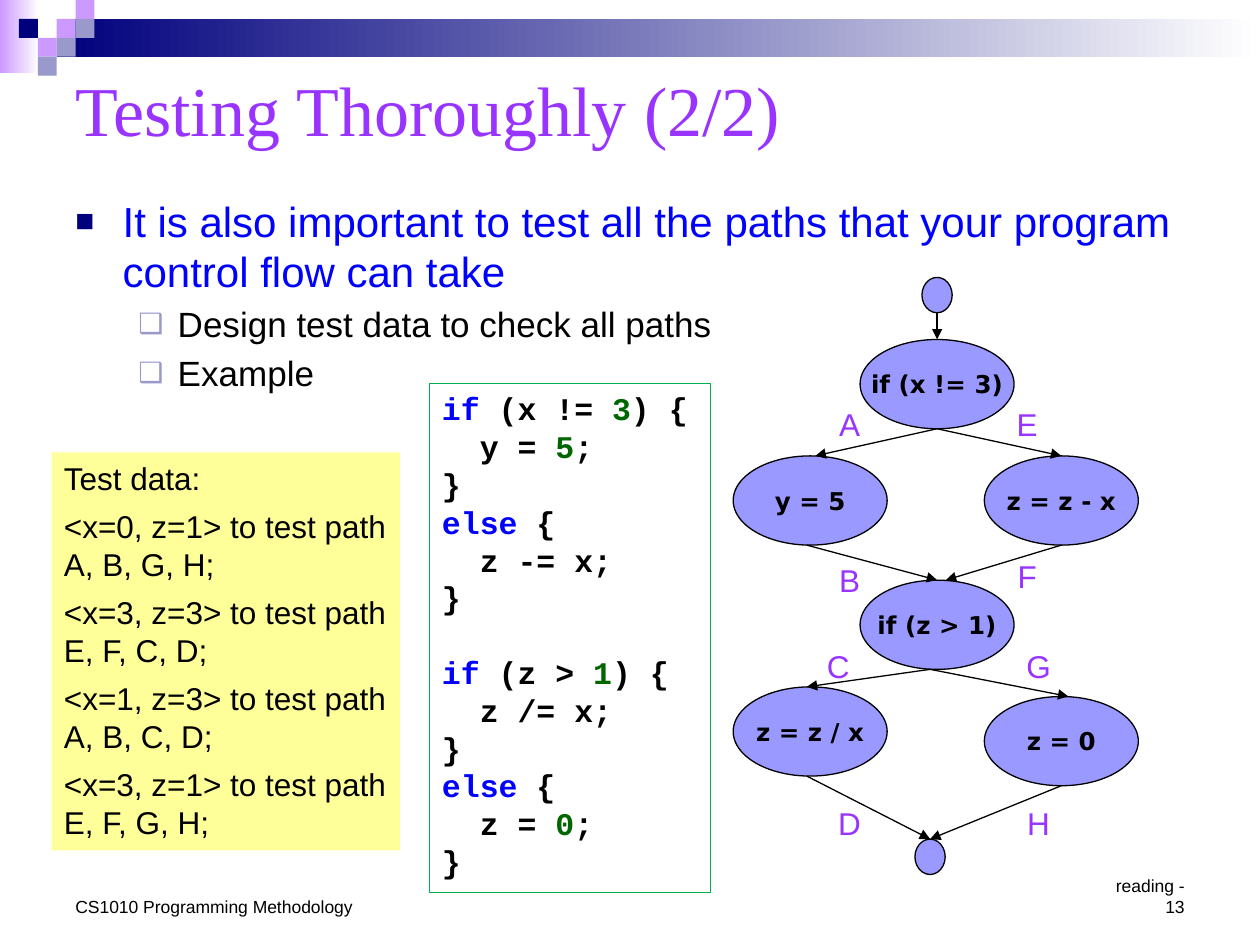
from dataclasses import dataclass
from lxml import etree
from pptx import Presentation
from pptx import util as u
from pptx.dml.color import RGBColor
from pptx.enum import shapes, text
from pptx.oxml import ns

Pt = u.Pt


@dataclass(frozen=True)
class Theme:
    navy: str = "00007D"
    lilac: str = "CC99FF"
    slate: str = "9999CC"
    violet: str = "9933FF"
    node: str = "9999FF"
    blue: str = "0000FF"
    green: str = "006600"
    frame: str = "00B050"
    note: str = "FFFF99"
    black: str = "000000"
    white: str = "FFFFFF"
    title_font: str = "Times New Roman"
    body_font: str = "Arial"
    code_font: str = "Courier New"
    node_font: str = "DejaVu Sans"
    title_size: int = 40
    lead_size: int = 24
    point_size: int = 20
    text_size: int = 18
    node_size: int = 14
    footer_size: int = 10


theme = Theme()


def rgb(value):
    return RGBColor.from_string(value)


def add_span(para, words, font, size, color=theme.black, bold=False):
    span = para.add_run()
    span.text = words
    span.font.name = font
    span.font.size = Pt(size)
    span.font.bold = bold
    span.font.color.rgb = rgb(color)


def next_para(frame, index):
    para = frame.paragraphs[0] if index == 0 else frame.add_paragraph()
    para.alignment = text.PP_ALIGN.LEFT
    return para


def add_shape(page, kind, box, fill, line=None):
    shape = page.shapes.add_shape(kind, *map(Pt, box))
    shape.shadow.inherit = False
    if isinstance(fill, tuple):
        shape.fill.gradient()
        shape.fill.gradient_angle = 0
        for stop, color, position in zip(shape.fill.gradient_stops, fill, (0, 1)):
            stop.color.rgb = rgb(color)
            stop.position = position
    else:
        shape.fill.solid()
        shape.fill.fore_color.rgb = rgb(fill)
    if line:
        shape.line.color.rgb = rgb(line)
        shape.line.width = Pt(0.75)
    else:
        shape.line.fill.background()
    shape.text_frame.word_wrap = True
    shape.text_frame.vertical_anchor = text.MSO_ANCHOR.TOP
    return shape


def add_text(page, box, words, size, color, align, anchor=text.MSO_ANCHOR.TOP, inset=None):
    frame = page.shapes.add_textbox(*map(Pt, box)).text_frame
    frame.word_wrap = True
    frame.vertical_anchor = anchor
    if inset is not None:
        frame.margin_left = frame.margin_right = Pt(inset)
        frame.margin_top = frame.margin_bottom = Pt(inset)
    frame.paragraphs[0].alignment = align
    add_span(frame.paragraphs[0], words, theme.body_font, size, color)


def add_banner(page, box):
    left, top, width, height = box
    rect = shapes.MSO_SHAPE.RECTANGLE
    add_shape(page, rect, (left, top, 22.3, height), (theme.lilac, theme.white))
    add_shape(page, rect, (left + 32.4, top + 10.8, width - 32.4, 21.6), (theme.navy, theme.white))
    tile = 10.8
    tiles = [(3, 1, theme.lilac), (4, 0, theme.lilac), (4, 1, theme.slate),
             (2, 2, theme.lilac), (1, 1, theme.navy), (3, 2, theme.slate), (2, 3, theme.slate)]
    for column, row, color in tiles:
        add_shape(page, rect, (left + column * tile, top + row * tile, tile, tile), color)


def add_title(page, box, words):
    title = page.shapes.title
    title.left, title.top, title.width, title.height = map(Pt, box)
    title.text_frame.vertical_anchor = text.MSO_ANCHOR.MIDDLE
    para = next_para(title.text_frame, 0)
    add_span(para, words, theme.title_font, theme.title_size, theme.violet)


def set_bullet(para, mark, color, percent, margin, hang):
    props = para._p.get_or_add_pPr()
    props.set("marL", str(Pt(margin)))
    props.set("indent", str(-Pt(hang)))
    holder = etree.SubElement(props, ns.qn("a:buClr"))
    etree.SubElement(holder, ns.qn("a:srgbClr")).set("val", color)
    etree.SubElement(props, ns.qn("a:buSzPct")).set("val", str(percent * 1000))
    etree.SubElement(props, ns.qn("a:buFont")).set("typeface", theme.body_font)
    etree.SubElement(props, ns.qn("a:buChar")).set("char", mark)


def add_points(page, box, points):
    frame = page.shapes.add_textbox(*map(Pt, box)).text_frame
    frame.word_wrap = True
    styles = [(theme.lead_size, theme.blue, ("■", theme.navy, 75, 27, 27)),
              (theme.point_size, theme.black, ("❑", theme.slate, 80, 58.5, 22.5))]
    for index, (level, words) in enumerate(points):
        size, color, bullet = styles[level]
        para = next_para(frame, index)
        para.level = level
        para.space_before = Pt(size * 0.2)
        set_bullet(para, *bullet)
        add_span(para, words, theme.body_font, size, color)


def add_code(page, box, blocks):
    frame = add_shape(page, shapes.MSO_SHAPE.RECTANGLE, box, theme.white, theme.frame).text_frame
    colors = {"k": theme.blue, "n": theme.green, "p": theme.black}
    lines = [(block, row, line) for block, rows in enumerate(blocks) for row, line in enumerate(rows)]
    for index, (block, row, line) in enumerate(lines):
        para = next_para(frame, index)
        if block and row == 0:
            para.space_before = Pt(21)
        for kind, words in line:
            add_span(para, words, theme.code_font, theme.text_size, colors[kind], True)


def add_test_data(page, box, lines):
    frame = add_shape(page, shapes.MSO_SHAPE.RECTANGLE, box, theme.note).text_frame
    for index, words in enumerate(lines):
        para = next_para(frame, index)
        para.space_after = Pt(6)
        add_span(para, words, theme.body_font, theme.text_size)


def add_arrow(page, start, end):
    arrow = page.shapes.add_connector(shapes.MSO_CONNECTOR.STRAIGHT, *map(Pt, start + end))
    arrow.line.color.rgb = rgb(theme.black)
    arrow.line.width = Pt(0.75)
    etree.SubElement(arrow.line._get_or_add_ln(), ns.qn("a:tailEnd")).set("type", "triangle")
    etree.SubElement(arrow._element.spPr, ns.qn("a:effectLst"))


def add_flow(page, box, nodes, edges, labels):
    left, top = box[:2]
    sizes = {True: (88, 51), False: (17.3, 20.2)}
    for center, y, words in nodes.values():
        width, height = sizes[bool(words)]
        oval = add_shape(page, shapes.MSO_SHAPE.OVAL, (left + center - width / 2, top + y, width, height),
                         theme.node, theme.black)
        if words:
            frame = oval.text_frame
            frame.word_wrap = False
            frame.vertical_anchor = text.MSO_ANCHOR.MIDDLE
            frame.paragraphs[0].alignment = text.PP_ALIGN.CENTER
            add_span(frame.paragraphs[0], words, theme.node_font, theme.node_size, bold=True)
    for source, target, shift_out, shift_in in edges:
        x1, y1, words = nodes[source]
        x2, y2, _ = nodes[target]
        drop = sizes[bool(words)][1]
        add_arrow(page, (left + x1 + shift_out, top + y1 + drop), (left + x2 + shift_in, top + y2))
    for letter, x, y in labels:
        add_text(page, (left + x, top + y, 36, 23), letter, theme.text_size, theme.violet,
                 text.PP_ALIGN.CENTER, inset=0.72)


deck = Presentation()
deck.slide_width, deck.slide_height = Pt(720), Pt(540)
page = deck.slides.add_slide(deck.slide_layouts[5])

add_banner(page, (0, 0, 720, 41.8))
add_title(page, (36, 30.2, 648, 63.4), "Testing Thoroughly (2/2)")
add_points(page, (36, 108, 648, 354), [
    (0, "It is also important to test all the paths that your program control flow can take"),
    (1, "Design test data to check all paths"),
    (1, "Example")])

close = [("p", "}")]
add_code(page, (245.5, 219, 160.5, 291), [
    [[("k", "if "), ("p", "(x != "), ("n", "3"), ("p", ") {")],
     [("p", "  y = "), ("n", "5"), ("p", ";")], close,
     [("k", "else"), ("p", " {")], [("p", "  z -= x;")], close],
    [[("k", "if"), ("p", " (z > "), ("n", "1"), ("p", ") {")],
     [("p", "  z /= x;")], close,
     [("k", "else "), ("p", "{")], [("p", "  z = "), ("n", "0"), ("p", ";")], close]])

add_test_data(page, (29.5, 258.5, 199, 227.5), ["Test data:"] + [
    f"<x={x}, z={z}> to test path {route};" for x, z, route in (
        (0, 1, "A, B, G, H"), (3, 3, "E, F, C, D"), (1, 3, "A, B, C, D"), (3, 1, "E, F, G, H"))])

nodes = {
    "start": (116.5, 0, ""), "test x": (116.5, 35.5, "if (x != 3)"),
    "set y": (44, 102, "y = 5"), "cut z": (187.5, 102, "z = z - x"),
    "test z": (116.5, 173, "if (z > 1)"), "divide z": (44, 234, "z = z / x"),
    "clear z": (187.5, 239.5, "z = 0"), "end": (112.5, 321, "")}
edges = [
    ("start", "test x", 0, 0), ("test x", "set y", 0, 3), ("test x", "cut z", 0, 0),
    ("set y", "test z", -2, 0), ("cut z", "test z", 0, 5), ("test z", "divide z", -4, -2),
    ("test z", "clear z", -4, 4), ("divide z", "end", -2, 0), ("clear z", "end", 0, 0)]
labels = [("A", 48.5, 72), ("B", 48.5, 161.5), ("C", 42, 210.5), ("D", 48.5, 300.5),
          ("E", 150, 72), ("F", 150, 159), ("G", 156.5, 210.5), ("H", 156.5, 300.5)]
add_flow(page, (419, 158.5, 232, 341.5), nodes, edges, labels)

add_text(page, (36, 508.3, 199, 19.5), "CS1010 Programming Methodology", theme.footer_size,
         theme.black, text.PP_ALIGN.LEFT)
add_text(page, (621.5, 508.3, 62.5, 19.5), "reading - 13", theme.footer_size, theme.black,
         text.PP_ALIGN.RIGHT, text.MSO_ANCHOR.BOTTOM)

deck.save("out.pptx")
